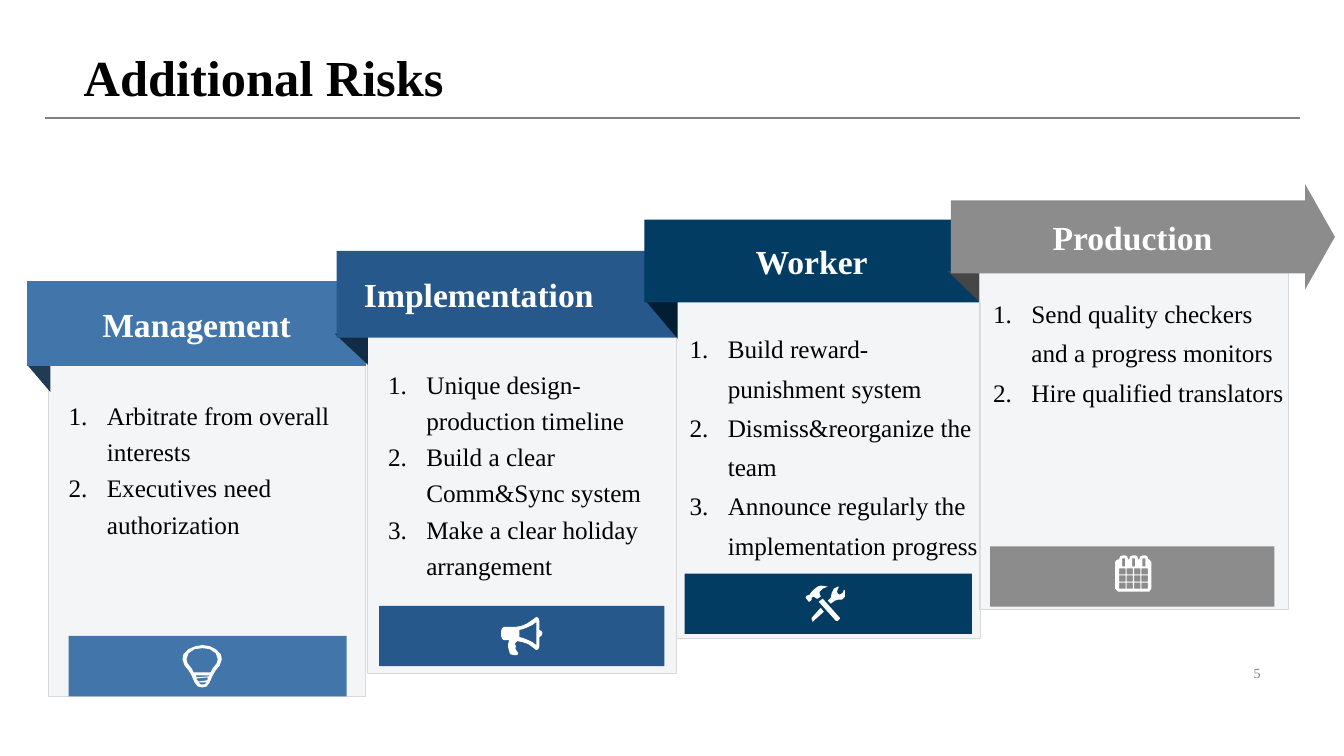
from lxml import etree
from pptx import Presentation
from pptx.dml.color import RGBColor
from pptx.enum.shapes import MSO_CONNECTOR, MSO_SHAPE
from pptx.enum.text import MSO_ANCHOR, MSO_AUTO_SIZE, PP_ALIGN
from pptx.oxml.ns import qn
from pptx.util import Inches, Pt

RECT, ARROW = MSO_SHAPE.RECTANGLE, MSO_SHAPE.RIGHT_ARROW
LEFT, CENTER, RIGHT = PP_ALIGN.LEFT, PP_ALIGN.CENTER, PP_ALIGN.RIGHT
FONT = "Times New Roman"
BLACK = RGBColor(0x00, 0x00, 0x00)
WHITE = RGBColor(0xFF, 0xFF, 0xFF)
GRAY = RGBColor(0x80, 0x80, 0x80)
PANEL_FILL = RGBColor(0xE4, 0xE6, 0xEA)
PANEL_LINE = RGBColor(0xD9, 0xD9, 0xD9)
BLUE = RGBColor(0x42, 0x76, 0xAA)
BLUE_FOLD = RGBColor(0x21, 0x3B, 0x55)
MID_BLUE = RGBColor(0x26, 0x58, 0x8B)
MID_BLUE_FOLD = RGBColor(0x13, 0x2C, 0x46)
NAVY = RGBColor(0x02, 0x3C, 0x63)
NAVY_FOLD = RGBColor(0x01, 0x1E, 0x32)
STEEL = RGBColor(0x8C, 0x8C, 0x8C)
STEEL_FOLD = RGBColor(0x46, 0x46, 0x46)

# Icon contours, in hundredths of an inch from the icon's corner
BULB = [
    [(20, 0), (13, 1), (6, 4), (1, 9), (0, 14), (2, 20), (6, 25), (9, 30), (12, 37), (15, 41),
     (20, 42), (24, 41), (27, 37), (30, 30), (33, 25), (37, 20), (39, 14), (38, 9), (33, 4), (27, 1)],
    [(28, 27), (11, 27), (9, 23), (5, 18), (4, 14), (6, 8), (12, 4), (20, 3), (27, 4), (33, 8),
     (35, 14), (34, 18), (30, 23)],
    [(24, 35), (16, 36), (14, 34), (14, 33), (25, 32), (25, 34)],
    [(14, 32), (13, 30), (27, 30), (26, 31)],
    [(20, 39), (18, 39), (16, 37), (24, 37), (22, 39)],
]
MEGAPHONE = [
    [(41, 16), (40, 19), (38, 20), (38, 29), (37, 32), (35, 33), (31, 30), (27, 27), (21, 25),
     (16, 24), (14, 26), (14, 28), (15, 29), (14, 31), (15, 33), (17, 36), (16, 38), (13, 38),
     (9, 37), (8, 34), (7, 30), (7, 27), (8, 23), (3, 23), (1, 22), (0, 19), (0, 14), (1, 11),
     (3, 10), (14, 10), (20, 9), (25, 7), (31, 3), (35, 0), (37, 1), (38, 4), (38, 13), (40, 14)],
    [(35, 5), (31, 8), (27, 10), (22, 12), (18, 13), (18, 20), (22, 21), (27, 23), (31, 25), (35, 28)],
]
TOOLS = [
    [(6, 12), (8, 11), (11, 13), (12, 13), (15, 11), (14, 8), (14, 6), (17, 3), (22, 1), (15, 0),
     (12, 1), (8, 4), (6, 6), (4, 9), (1, 10), (0, 12), (3, 16), (4, 16), (6, 14)],
    [(17, 13), (13, 16), (30, 35), (32, 35), (34, 33), (34, 32)],
    [(39, 5), (38, 4), (37, 7), (34, 9), (32, 8), (31, 6), (33, 1), (32, 1), (28, 3), (26, 7),
     (25, 12), (22, 15), (25, 18), (29, 15), (32, 14), (36, 14), (39, 11)],
    [(6, 32), (6, 33), (7, 36), (8, 35), (18, 26), (15, 22)],
]
rings = [(x + dx, y) for x in (4, 14, 24) for dx, y in ((0, 4), (1, 1), (4, 0), (6, 0), (8, 1), (9, 4))]
CALENDAR = [[(0, 7), (1, 5), (3, 4), *rings, (34, 4), (36, 7), (36, 33), (34, 36), (3, 36), (0, 33)]]
holes = [(4 + 7.4 * col, 13 + 7 * row, 6.4, 6) for row in range(3) for col in range(4)]
holes += [(x, 3, 3, 8) for x in (7, 17, 27)]
CALENDAR += [[(x, y), (x + w, y), (x + w, y + h), (x, y + h)] for x, y, w, h in holes]

# Boxes are left, top, width, height in inches
STAGES = [
    dict(name="Management", color=BLUE, fold_color=BLUE_FOLD, ribbon=(0.27, 2.79, 3.36, 0.84),
         fold=(0.27, 3.62, 0.23, 0.27), panel=(0.48, 3.57, 3.14, 3.34), band=(0.68, 6.31, 2.76, 0.6),
         icon=BULB, icon_at=(1.81, 6.4), text=(0.68, 3.91, 2.95, 2.03), inset=0, spacing=1.2,
         risks=["Arbitrate from overall interests", "Executives need authorization"]),
    dict(name="Implementation", color=MID_BLUE, fold_color=MID_BLUE_FOLD, ribbon=(3.34, 2.49, 3.37, 0.86),
         fold=(3.32, 3.31, 0.33, 0.31), panel=(3.64, 3.34, 3.07, 3.34), band=(3.76, 6.01, 2.83, 0.6),
         icon=MEGAPHONE, icon_at=(4.97, 6.12), text=(3.75, 3.55, 2.95, 2.28), inset=0.1, spacing=1.2,
         risks=["Unique design-production timeline", "Build a clear Comm&Sync system",
                "Make a clear holiday arrangement"]),
    dict(name="Worker", color=NAVY, fold_color=NAVY_FOLD, ribbon=(6.39, 2.18, 3.32, 0.82),
         fold=(6.4, 2.98, 0.32, 0.38), panel=(6.71, 2.99, 3.01, 3.34), band=(6.79, 5.69, 2.85, 0.6),
         icon=TOOLS, icon_at=(7.99, 5.81), text=(6.74, 3.17, 3.08, 2.34), inset=0.1, spacing=1.3,
         risks=["Build reward-punishment system", "Dismiss&reorganize the team",
                "Announce regularly the implementation progress"]),
    dict(name="Production", color=STEEL, fold_color=STEEL_FOLD, ribbon=(9.43, 1.83, 3.81, 1.04),
         fold=(9.4, 2.69, 0.31, 0.3), panel=(9.71, 2.7, 3.07, 3.34), band=(9.82, 5.42, 2.82, 0.6),
         icon=CALENDAR, icon_at=(11.06, 5.51), text=(9.85, 2.87, 2.98, 2.41), inset=0, spacing=1.3,
         risks=["Send quality checkers and a progress monitors", "Hire qualified translators"]),
]


def write(paragraph, text, size, color, bold=False, align=LEFT):
    paragraph.alignment = align
    run = paragraph.add_run()
    run.text = text
    run.font.name, run.font.size, run.font.bold = FONT, Pt(size), bold
    run.font.color.rgb = color


def add_filled(shapes, outline, color):
    """Add a preset (kind, box) or, from a list of contours in inches, a freeform."""
    if isinstance(outline, tuple):
        kind, box = outline
        shape = shapes.add_shape(kind, *map(Inches, box))
    else:
        contours = [[(Inches(x), Inches(y)) for x, y in points] for points in outline]
        builder = shapes.build_freeform(*contours[0][0])
        builder.add_line_segments(contours[0][1:], close=True)
        for points in contours[1:]:
            builder.move_to(*points[0])
            builder.add_line_segments(points[1:], close=True)
        shape = builder.convert_to_shape()
    shape.shadow.inherit = False
    shape.fill.solid()
    shape.fill.fore_color.rgb = color
    shape.line.fill.background()
    return shape


prs = Presentation()
prs.slide_width, prs.slide_height = Inches(13.33), Inches(7.5)
slide = prs.slides.add_slide(prs.slide_layouts[5])

# Title
title = slide.shapes.title
title.left, title.top, title.width, title.height = map(Inches, (0.73, 0, 11.87, 1.12))
title.text_frame.auto_size = MSO_AUTO_SIZE.NONE
title.text_frame.vertical_anchor = MSO_ANCHOR.BOTTOM
heading = title.text_frame.paragraphs[0]
heading.line_spacing = 0.9
write(heading, "Additional Risks", 36, BLACK, bold=True)

# Slide number
number = slide.shapes.add_textbox(*map(Inches, (9.42, 6.56, 3.18, 0.23))).text_frame
number.word_wrap = True
number.vertical_anchor = MSO_ANCHOR.MIDDLE
write(number.paragraphs[0], "5", 10, GRAY, align=RIGHT)

# Four rising stages
for stage in STAGES:
    shapes = slide.shapes.add_group_shape().shapes

    # Translucent panel
    panel = add_filled(shapes, (RECT, stage["panel"]), PANEL_FILL)
    panel.line.color.rgb = PANEL_LINE
    panel.line.width = Pt(0.25)
    panel_color = panel.fill._xPr.find(qn("a:solidFill"))[0]
    etree.SubElement(panel_color, qn("a:alpha"), val="40000")

    # Ribbon with its folded corner
    x, y, w, h = stage["fold"]
    add_filled(shapes, [[(x, y), (x + w, y), (x + w, y + h)]], stage["fold_color"])
    is_last = stage is STAGES[-1]
    ribbon = add_filled(shapes, (ARROW if is_last else RECT, stage["ribbon"]), stage["color"])
    if is_last:
        ribbon.adjustments[0], ribbon.adjustments[1] = 0.695, 0.283
    label = ribbon.text_frame
    label.vertical_anchor = MSO_ANCHOR.MIDDLE
    is_indented = stage["name"] == "Implementation"
    if is_indented:
        label.margin_left = Inches(0.27)
    write(label.paragraphs[0], stage["name"], 24, WHITE, True, LEFT if is_indented else CENTER)

    # Icon band
    add_filled(shapes, (RECT, stage["band"]), stage["color"])
    left, top = stage["icon_at"]
    icon = [[(left + x / 100, top + y / 100) for x, y in points] for points in stage["icon"]]
    add_filled(shapes, icon, WHITE)

    # Numbered risks
    risks = shapes.add_textbox(*map(Inches, stage["text"])).text_frame
    risks.word_wrap = True
    risks.margin_left = risks.margin_right = Inches(stage["inset"])
    risks.margin_top = risks.margin_bottom = Inches(stage["inset"] / 2)
    for i, risk in enumerate(stage["risks"]):
        item = risks.add_paragraph() if i else risks.paragraphs[0]
        write(item, risk, 18, BLACK)
        item.line_spacing = stage["spacing"]
        props = item._p.get_or_add_pPr()
        props.set("marL", str(Inches(0.38)))
        props.set("indent", str(-Inches(0.38)))
        etree.SubElement(props, qn("a:buAutoNum"), type="arabicPeriod")

# Rule under the title
rule = slide.shapes.add_connector(MSO_CONNECTOR.STRAIGHT, *map(Inches, (0.45, 1.17, 12.89, 1.17)))
rule.line.color.rgb = GRAY
rule.line.width = Pt(1.5)
etree.SubElement(rule._element.spPr, qn("a:effectLst"))

prs.save("out.pptx")
